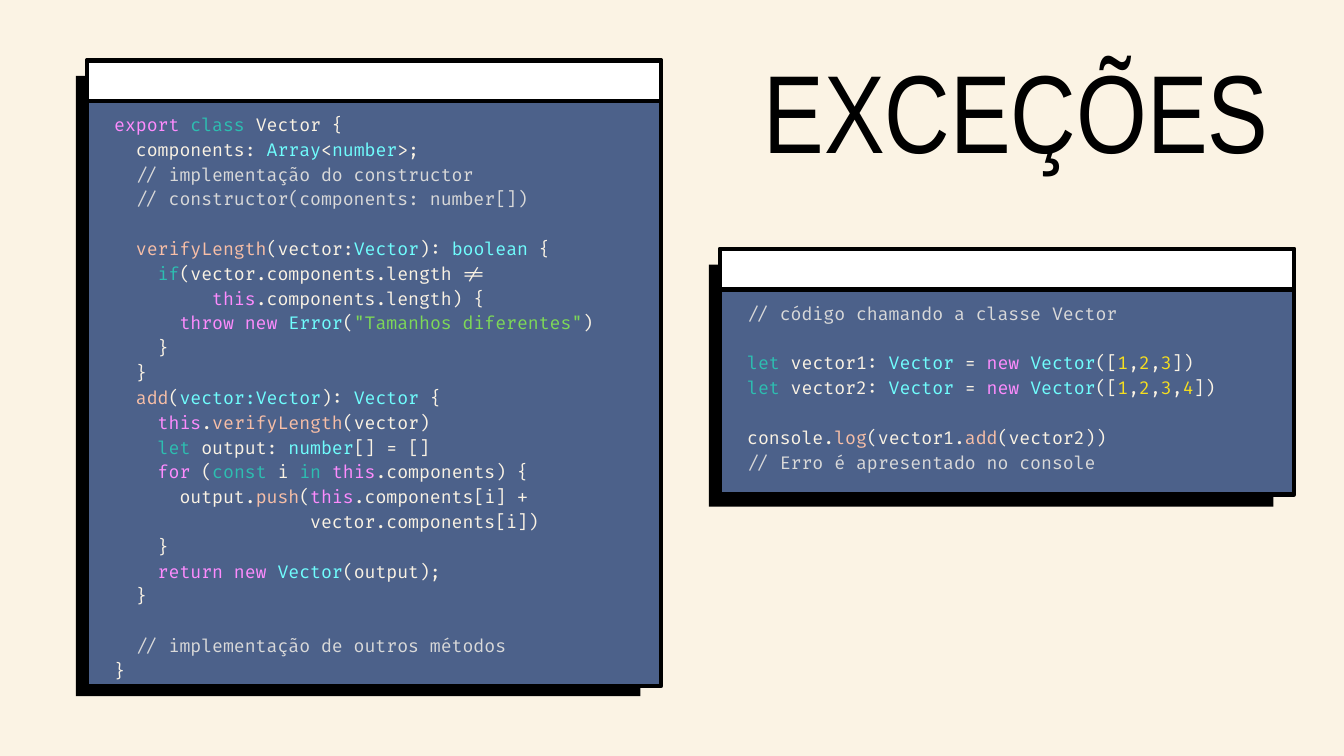
from pptx import Presentation
from pptx.dml.color import RGBColor
from pptx.enum.shapes import MSO_SHAPE
from pptx.enum.text import PP_ALIGN
from pptx.util import Pt

BACKGROUND, PANEL, BLACK, WHITE = "FBF3E4", "4C618A", "000000", "FFFFFF"
CODE_SIZE, CODE_LEADING = 19, 26.6

# Syntax colours
PLAIN, KEYWORD, DECLARE, TYPE = "FBF3E4", "FE8CFE", "2DBEB1", "70FEFE"
CALL, COMMENT, STRING, NUMBER = "F8BFA7", "D9D9D9", "7ED957", "F7DF1E"


def vector_line(name, values):
    """Tokens of one vector declaration."""
    tokens = [(DECLARE, "let "), (PLAIN, f"{name}: "), (TYPE, "Vector "),
              (PLAIN, "= "), (KEYWORD, "new "), (TYPE, "Vector"), (PLAIN, "([")]
    for index, value in enumerate(values):
        if index:
            tokens.append((PLAIN, ","))
        tokens.append((NUMBER, str(value)))
    return tokens + [(PLAIN, "])")]


# Each line is a list of coloured tokens; an empty list is a blank line
CLASS_CODE = [
    [(KEYWORD, "export "), (DECLARE, "class "), (PLAIN, "Vector {")],
    [(PLAIN, "  components: "), (TYPE, "Array"), (PLAIN, "<"),
     (TYPE, "number"), (PLAIN, ">;")],
    [(COMMENT, "  // implementação do constructor")],
    [(COMMENT, "  // constructor(components: number[])")],
    [],
    [(CALL, "  verifyLength"), (PLAIN, "(vector:"), (TYPE, "Vector"),
     (PLAIN, "): "), (TYPE, "boolean "), (PLAIN, "{")],
    [(DECLARE, "    if"), (PLAIN, "(vector.components.length !=")],
    [(KEYWORD, "         this"), (PLAIN, ".components.length) {")],
    [(KEYWORD, "      throw new "), (TYPE, "Error"), (PLAIN, "("),
     (STRING, '"Tamanhos diferentes"'), (PLAIN, ")")],
    [(PLAIN, "    }")],
    [(PLAIN, "  }")],
    [(CALL, "  add"), (PLAIN, "("), (TYPE, "vector:Vector"), (PLAIN, "): "),
     (TYPE, "Vector "), (PLAIN, "{")],
    [(KEYWORD, "    this"), (PLAIN, "."), (CALL, "verifyLength"),
     (PLAIN, "(vector)")],
    [(DECLARE, "    let "), (PLAIN, "output: "), (TYPE, "number"),
     (PLAIN, "[] = []")],
    [(KEYWORD, "    for "), (PLAIN, "("), (DECLARE, "const "), (PLAIN, "i "),
     (DECLARE, "in "), (KEYWORD, "this"), (PLAIN, ".components) {")],
    [(PLAIN, "      output."), (CALL, "push"), (PLAIN, "("),
     (KEYWORD, "this"), (PLAIN, ".components[i] +")],
    [(PLAIN, "                  vector.components[i])")],
    [(PLAIN, "    }")],
    [(KEYWORD, "    return new "), (TYPE, "Vector"), (PLAIN, "(output);")],
    [(PLAIN, "  }")],
    [],
    [(COMMENT, "  // implementação de outros métodos")],
    [(PLAIN, "}")],
]

USAGE_CODE = [
    [(COMMENT, "// código chamando a classe Vector")],
    [],
    vector_line("vector1", [1, 2, 3]),
    vector_line("vector2", [1, 2, 3, 4]),
    [],
    [(PLAIN, "console."), (CALL, "log"), (PLAIN, "(vector1."),
     (CALL, "add"), (PLAIN, "(vector2))")],
    [(COMMENT, "// Erro é apresentado no console")],
]


def color(value):
    return RGBColor.from_string(value)


def add_panel(page, left, top, width, height, fill, outlined=True):
    panel = page.shapes.add_shape(
        MSO_SHAPE.RECTANGLE, Pt(left), Pt(top), Pt(width), Pt(height))
    panel.shadow.inherit = False
    panel.fill.solid()
    panel.fill.fore_color.rgb = color(fill)
    if outlined:
        panel.line.color.rgb = color(BLACK)
        panel.line.width = Pt(4.5)
    else:
        panel.line.fill.background()


def add_frame(page, left, top, width, height):
    """Empty wrapping text frame without insets."""
    box = page.shapes.add_textbox(Pt(left), Pt(top), Pt(width), Pt(height))
    frame = box.text_frame
    frame.word_wrap = True
    frame.margin_left = frame.margin_right = 0
    frame.margin_top = frame.margin_bottom = 0
    return frame


def add_span(para, text, font, size, ink):
    span = para.add_run()
    span.text = text
    span.font.name = font
    span.font.size = Pt(size)
    span.font.color.rgb = color(ink)


def add_title(page, left, top, width, height, text):
    para = add_frame(page, left, top, width, height).paragraphs[0]
    para.alignment = PP_ALIGN.RIGHT
    para.line_spacing = Pt(118.8)
    add_span(para, text, "Arial Narrow", 118.8, BLACK)


def add_code(page, left, top, width, lines):
    frame = add_frame(page, left, top, width, len(lines) * 26.2)
    para, gap = frame.paragraphs[0], 0
    for index, tokens in enumerate(lines):
        if not tokens:
            gap += CODE_LEADING
            continue
        if index:
            para = frame.add_paragraph()
        para.line_spacing = Pt(CODE_LEADING)
        if gap:
            para.space_before = Pt(gap)
            gap = 0
        for ink, text in tokens:
            add_span(para, text, "Fira Code", CODE_SIZE, ink)


def add_window(page, left, top, width, height, shadow_height, lines):
    # Hard shadow, body and title bar
    add_panel(page, left - 11.5, top + 16.5, width - 10.8, shadow_height,
              BLACK, outlined=False)
    add_panel(page, left, top, width, height, PANEL)
    add_panel(page, left, top, width, 43.2, WHITE)
    # Code
    add_code(page, left + 29.5, top + 53.3, width - 41.8, lines)


def main():
    deck = Presentation()
    deck.slide_width, deck.slide_height = Pt(1440), Pt(810)
    page = deck.slides.add_slide(deck.slide_layouts[6])
    page.background.fill.solid()
    page.background.fill.fore_color.rgb = color(BACKGROUND)

    add_title(page, 759.6, 69.1, 599.8, 126, "EXCEÇÕES")
    add_window(page, 92.9, 64.8, 615.6, 670.3, 664.6, CLASS_CODE)
    add_window(page, 771.1, 267.1, 615.6, 262.8, 259.2, USAGE_CODE)
    deck.save("out.pptx")


if __name__ == "__main__":
    main()
